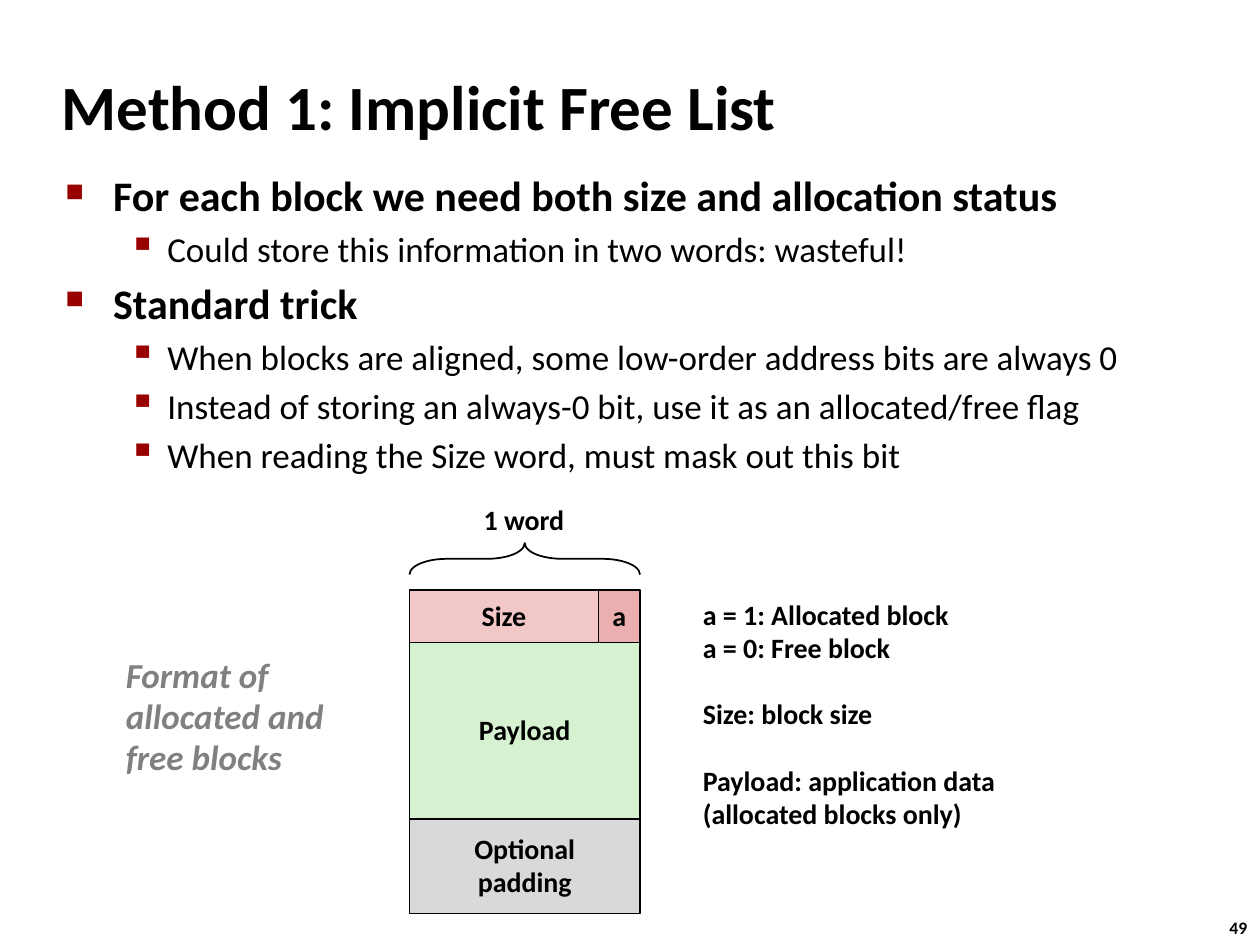
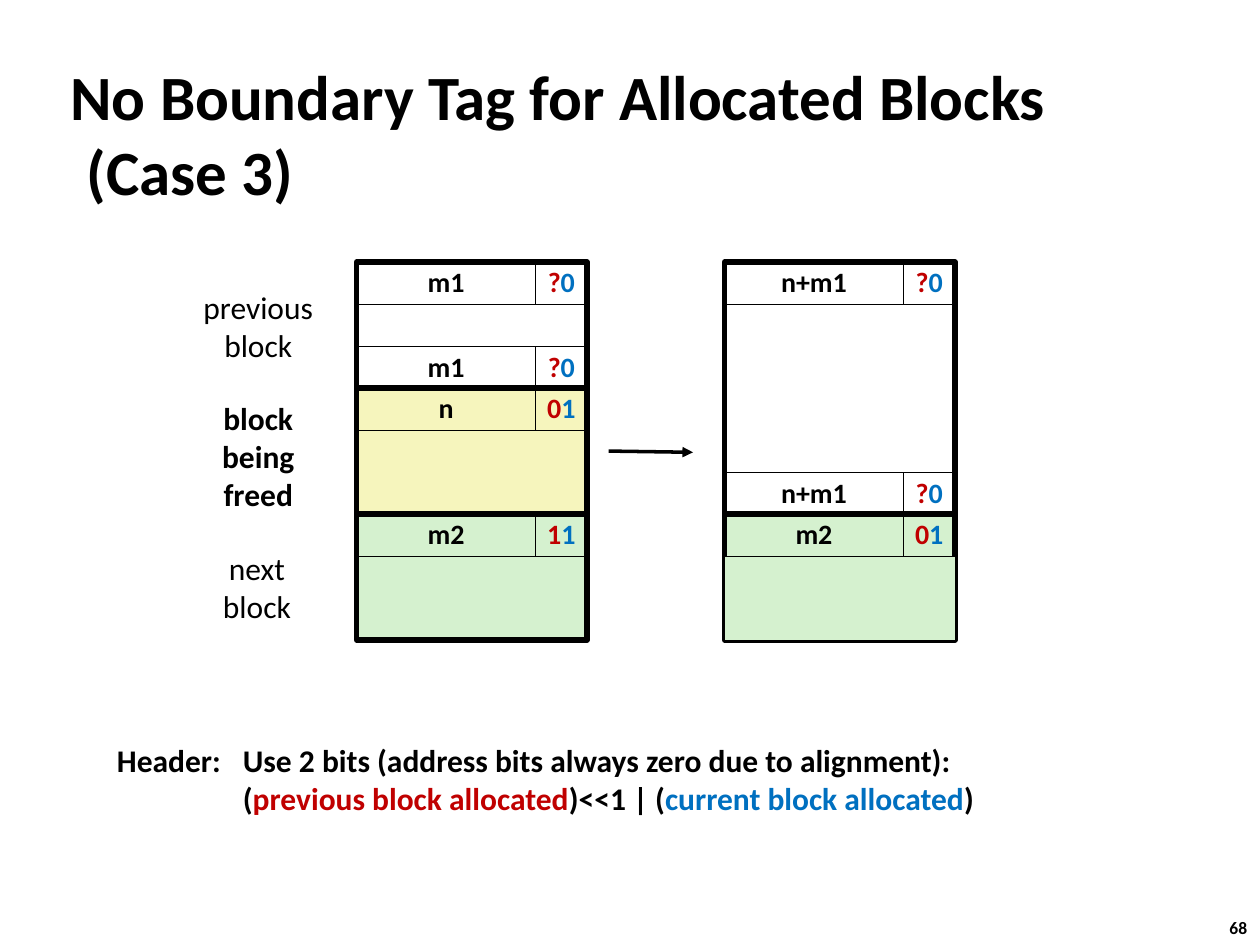
from lxml.etree import SubElement
from pptx import Presentation
from pptx.dml.color import RGBColor
from pptx.enum.shapes import MSO_CONNECTOR as Link, MSO_SHAPE as Kind
from pptx.enum.text import MSO_ANCHOR as Anchor, MSO_AUTO_SIZE as Fit, PP_ALIGN as Align
from pptx.oxml.ns import qn
from pptx.util import Inches, Pt

# Shared look
FONT = "Calibri"
BLACK = RGBColor(0x00, 0x00, 0x00)
WHITE = RGBColor(0xFF, 0xFF, 0xFF)
GRAY = RGBColor(0x80, 0x80, 0x80)
SILVER = RGBColor(0xD9, 0xD9, 0xD9)
PINK = RGBColor(0xF1, 0xC7, 0xC7)
ROSE = RGBColor(0xEB, 0xAF, 0xAF)
GREEN = RGBColor(0xD5, 0xF1, 0xCF)
YELLOW = RGBColor(0xF6, 0xF5, 0xBD)
RED = RGBColor(0xC0, 0x00, 0x00)
BLUE = RGBColor(0x00, 0x70, 0xC0)

# Bullet levels: indent, hang, space before, mark, mark percent, size, bold
LEVELS = [
    (0.38, 0.38, 4.8, "■", 60, 24, True),
    (0.81, 0.31, 4, "▪", 110, 20, False),
]

# Memory grid on the second slide
TOP = 2.08
ROW = 1 / 3
WIDE = 1.83
NAME = 1.42


def indent(para, left, hang):
    props = para._p.get_or_add_pPr()
    props.set("marL", str(Inches(left)))
    props.set("indent", str(-Inches(hang)))
    return props


def write(para, text, size=16, bold=True, italic=False, color=BLACK,
          align=Align.LEFT, space=0.98, before=0):
    """Fill a paragraph from a string or a list of (string, colour) runs."""
    para.alignment = align
    para.line_spacing = space
    para.space_before = Pt(before)
    for part, tint in [(text, color)] if isinstance(text, str) else text:
        for i, line in enumerate(part.split("\n")):
            if i:
                para.add_line_break()
            run = para.add_run()
            run.text = line
            font = run.font
            font.name, font.size = FONT, Pt(size)
            font.bold, font.italic = bold, italic
            font.color.rgb = tint


def fill(frame, paras, anchor=Anchor.TOP, wrap=False, **style):
    frame.word_wrap = wrap
    frame.auto_size = Fit.NONE
    frame.vertical_anchor = anchor
    for i, text in enumerate(paras):
        write(frame.paragraphs[0] if i == 0 else frame.add_paragraph(), text, **style)


def label(slide, at, *paras, **style):
    box = slide.shapes.add_textbox(*map(Inches, at))
    fill(box.text_frame, paras, **style)
    return box.text_frame


def shape(slide, at, kind=Kind.RECTANGLE, color=None, line=1.0):
    item = slide.shapes.add_shape(kind, *map(Inches, at))
    item.shadow.inherit = False
    if color is None:
        item.fill.background()
    else:
        item.fill.solid()
        item.fill.fore_color.rgb = color
    item.line.color.rgb = BLACK
    item.line.width = Pt(line)
    return item


def cell(slide, at, color, *paras, line=1.0):
    item = shape(slide, at, color=color, line=line)
    fill(item.text_frame, paras, anchor=Anchor.MIDDLE, align=Align.CENTER)


def start(deck, title, at, page):
    """Add a slide with its title and page number."""
    slide = deck.slides.add_slide(deck.slide_layouts[5])
    head = slide.shapes.title
    head.left, head.top, head.width, head.height = map(Inches, at)
    fill(head.text_frame, [title], anchor=Anchor.MIDDLE, wrap=True, size=36, space=1.0)
    indent(head.text_frame.paragraphs[0], 0.13, 0.13)
    label(slide, (9.66, 7.23, 0.37, 0.27), page, size=10, space=1.0)
    return slide


def bullets(slide, at, items):
    frame = slide.shapes.add_textbox(*map(Inches, at)).text_frame
    frame.word_wrap = True
    for i, (level, text) in enumerate(items):
        left, hang, before, mark, scale, size, bold = LEVELS[level]
        para = frame.paragraphs[0] if i == 0 else frame.add_paragraph()
        para.level = level
        props = indent(para, left, hang)
        tint = SubElement(props, qn("a:buClr"))
        SubElement(tint, qn("a:srgbClr")).set("val", "990000")
        SubElement(props, qn("a:buSzPct")).set("val", str(scale * 1000))
        SubElement(props, qn("a:buChar")).set("char", mark)
        write(para, text, size=size, bold=bold, space=1.0, before=before if i else 0)


def arrow(slide, *ends):
    line = slide.shapes.add_connector(Link.STRAIGHT, *map(Inches, ends))
    line.line.color.rgb = BLACK
    line.line.width = Pt(2)
    props = line._element.spPr
    SubElement(line.line._get_or_add_ln(), qn("a:tailEnd")).set("type", "triangle")
    SubElement(props, qn("a:effectLst"))


def block(slide, x, row, rows, color, name, bits, foot=False, over=False):
    """Draw a block of memory; over puts its body above its frame."""
    def span(first, count):
        return x, TOP + first * ROW, WIDE, count * ROW

    def tag(at):
        y = TOP + at * ROW
        flags = [(bits[0], RED), (bits[1], BLUE)]
        cell(slide, (x, y, NAME, ROW), color, name, line=0.25)
        cell(slide, (x + NAME, y, WIDE - NAME, ROW), color, flags, line=0.25)

    def body():
        shape(slide, span(row + 1, rows - 1 - foot), color=color, line=0.25)

    tag(row)
    if foot:
        tag(row + rows - 1)
    if not over:
        body()
    shape(slide, span(row, rows), line=3)
    if over:
        body()


def implicit(deck):
    slide = start(deck, "Method 1: Implicit Free List", (0.39, 0.52, 7.21, 0.63), "49")
    bullets(slide, (0.42, 1.3, 9.03, 2.36), [
        (0, "For each block we need both size and allocation status"),
        (1, "Could store this information in two words: wasteful!"),
        (0, "Standard trick"),
        (1, "When blocks are aligned, some low-order address bits are always 0"),
        (1, "Instead of storing an always-0 bit, use it as an allocated/free flag"),
        (1, "When reading the Size word, must mask out this bit"),
    ])

    # Block format
    cell(slide, (3.25, 4.68, 1.5, 0.42), PINK, "Size")
    cell(slide, (4.75, 4.68, 0.33, 0.42), ROSE, "a")
    cell(slide, (3.25, 5.1, WIDE, 1.4), GREEN, "Payload")
    cell(slide, (3.25, 6.5, WIDE, 0.75), SILVER, "Optional", "padding")
    brace = shape(slide, (4.04, 3.52, 0.25, WIDE), kind=Kind.RIGHT_BRACE)
    brace.rotation = 270
    brace.adjustments[0] = 1.19
    brace.adjustments[1] = 0.5

    # Captions
    label(slide, (3.74, 3.95, 0.85, 0.37), "1 word")
    label(slide, (0.9, 5.15, 1.78, 1.09), "Format of", "allocated and", "free blocks",
          size=20, italic=True, color=GRAY)
    key = label(slide, (5.48, 4.71, 2.55, 2.22),
                "a = 1: Allocated block", "a = 0: Free block", "Size: block size",
                "Payload: application data", "(allocated blocks only)")
    for i in (2, 3):
        key.paragraphs[i].space_before = Pt(19)


def freed(deck):
    slide = start(deck, "No Boundary Tag for Allocated Blocks (Case 3)",
                  (0.46, 0.74, 9.08, 0.63), "68")

    # Before and after
    old, new = 2.83, 5.75
    block(slide, old, 0, 3, WHITE, "m1", "?0", foot=True)
    block(slide, old, 3, 3, YELLOW, "n", "01")
    block(slide, old, 6, 3, GREEN, "m2", "11")
    block(slide, new, 0, 6, WHITE, "n+m1", "?0", foot=True)
    block(slide, new, 6, 3, GREEN, "m2", "01", over=True)
    arrow(slide, 4.83, 3.58, 5.5, 3.59)

    # Block names
    for at, text, bold in [
        ((1.5, 2.24, 1.1, 0.71), "previous\nblock", False),
        ((1.66, 3.12, 0.78, 1.01), "block\nbeing\nfreed", True),
        ((1.66, 4.31, 0.76, 0.71), "next\nblock", False),
    ]:
        label(slide, at, text, size=18, bold=bold, align=Align.CENTER, space=1.0)

    # Header rule
    note = label(slide, (0.83, 5.83, 7.06, 0.71), [
        ("Header: \tUse 2 bits (address bits always zero due to alignment):\n(", BLACK),
        ("previous block allocated", RED),
        (")<<1 | (", BLACK),
        ("current block allocated", BLUE),
        (")", BLACK),
    ], size=18, space=1.0)
    indent(note.paragraphs[0], 1, 1)


def main():
    deck = Presentation()
    deck.slide_width, deck.slide_height = Inches(10), Inches(7.5)
    implicit(deck)
    freed(deck)
    deck.save("out.pptx")


if __name__ == "__main__":
    main()
